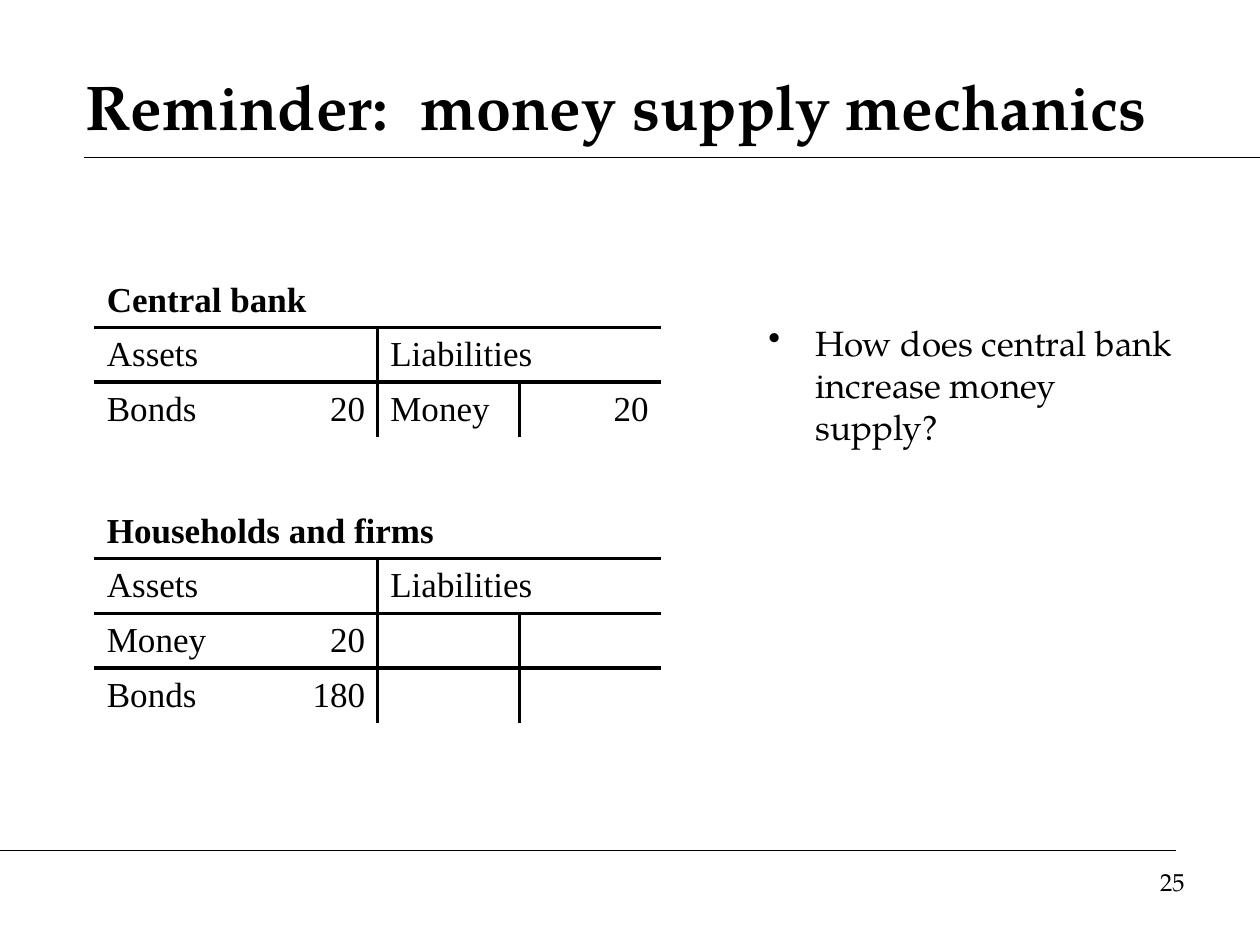
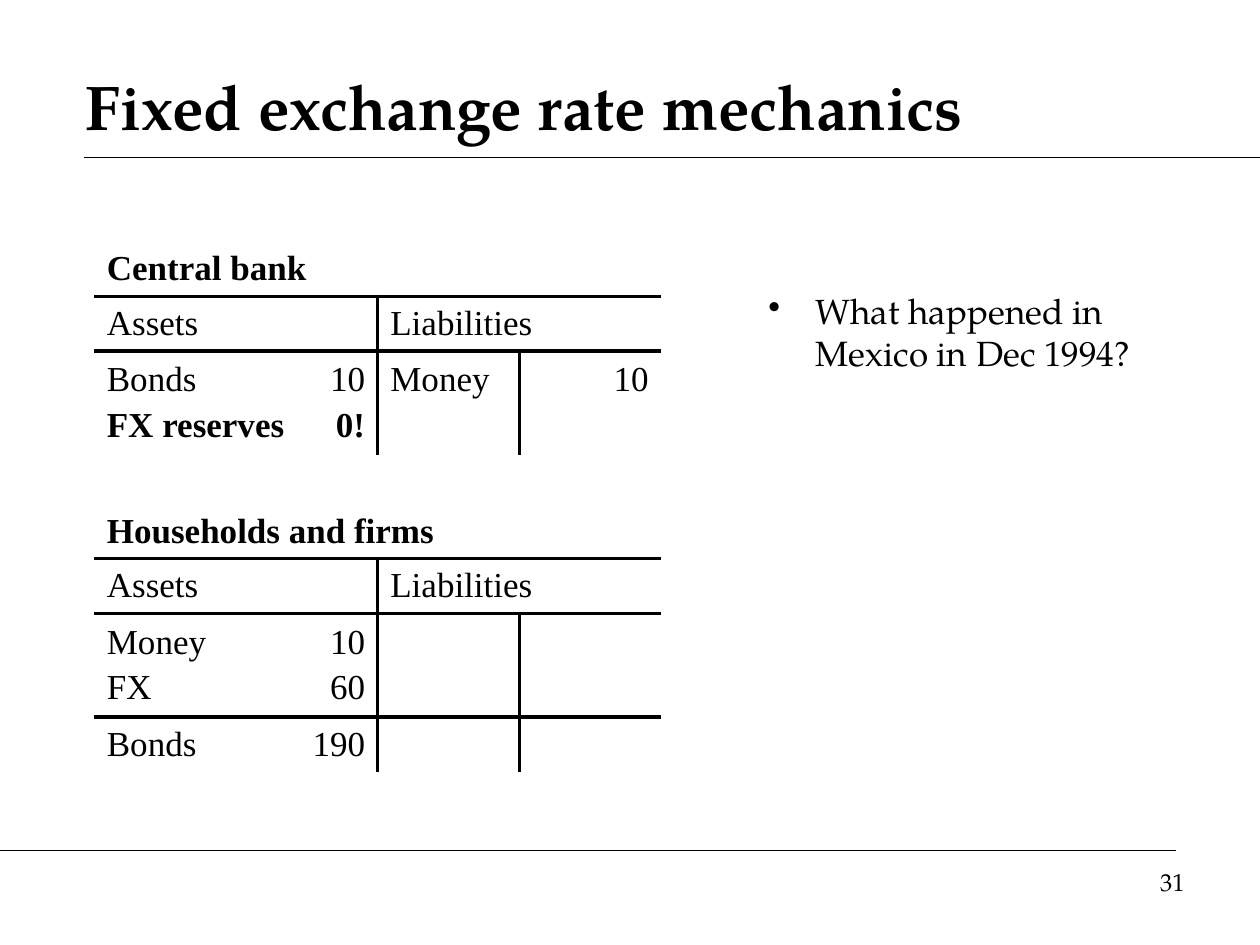
"""Two slides on money supply and exchange rate mechanics, with T-accounts."""
from lxml import etree
from pptx import Presentation, util as u
from pptx.dml.color import RGBColor
from pptx.enum import shapes, text
from pptx.oxml.ns import qn

INK = "000000"
SERIF, TIMES = "TeX Gyre Pagella", "Times New Roman"
TITLE = {"name": SERIF, "size": u.Pt(36), "bold": True}
BODY = {"name": SERIF, "size": u.Pt(20), "bold": False}
NUMBER = {"name": SERIF, "size": u.Pt(14), "bold": False}
ENTRY = {"name": TIMES, "size": u.Pt(20), "bold": False}
STRONG = {**ENTRY, "bold": True}
LEFT, RIGHT = text.PP_ALIGN.LEFT, text.PP_ALIGN.RIGHT
TOP, MIDDLE = text.MSO_ANCHOR.TOP, text.MSO_ANCHOR.MIDDLE

WIDTH, HEIGHT = 25.4, 19.05
TITLE_RULE, FOOT_RULE = 3.18, 17.15
# Start x, end x and y of the lines on every slide
RULES = [(1.7, WIDTH, TITLE_RULE), (0, 23.7, FOOT_RULE),
         (3.18, WIDTH, TITLE_RULE), (0, 17.98, FOOT_RULE)]
ACCOUNT_LEFT, ACCOUNT_WIDTH = 1.9, 11.43
LINE_ROW, EXTRA_LINE = 1.03, 0.92
NO_GRID = "{2D5ABB26-0587-4C30-8999-92F81FD0307C}"


def color(value):
    """Turn a hex string into a colour."""
    return RGBColor.from_string(value)


def write(para, words, style, align=LEFT):
    """Fill a paragraph with one styled run."""
    para.alignment = align
    span = para.add_run()
    span.text = words
    for name, value in style.items():
        setattr(span.font, name, value)
    span.font.color.rgb = color(INK)


def add_text(page, place, words, style, align=LEFT, anchor=TOP):
    """Add a wrapped text box and return its paragraph."""
    frame = page.shapes.add_textbox(*map(u.Cm, place)).text_frame
    frame.word_wrap = True
    frame.vertical_anchor = anchor
    write(frame.paragraphs[0], words, style, align)
    return frame.paragraphs[0]


def add_question(page, top, words):
    """Add the bulleted question on the right."""
    para = add_text(page, (15.24, top, 8.69, 9.73), words, BODY)
    props = para._p.get_or_add_pPr()
    props.set("marL", str(u.Cm(0.95)))
    props.set("indent", str(-u.Cm(0.95)))
    etree.SubElement(props, qn("a:buChar")).set("char", "•")


def add_rule(page, start, end, y):
    """Add a thin horizontal line without shadow."""
    rule = page.shapes.add_connector(shapes.MSO_CONNECTOR.STRAIGHT,
                                     *map(u.Cm, (start, y, end, y)))
    rule.line.color.rgb = color(INK)
    rule.line.width = u.Pt(0.75)
    etree.SubElement(rule.element.spPr, qn("a:effectLst"))


def set_borders(cell, sides):
    """Draw thick borders on the given sides, in schema order."""
    props = cell._tc.get_or_add_tcPr()
    for place, side in enumerate(s for s in "LRTB" if s in sides):
        line = etree.Element(qn("a:ln" + side), w=str(u.Pt(2.25)))
        fill = etree.SubElement(line, qn("a:solidFill"))
        etree.SubElement(fill, qn("a:srgbClr")).set("val", INK)
        props.insert(place, line)


def account_sides(row, column):
    """Tell which borders a cell of a T-account has."""
    sides = "B" if row < 2 else ""
    if row in (1, 2):
        sides += "T"
    if row > 0:
        sides += {1: "R", 2: "L"}.get(column, "")
    return sides


def fill_cell(cell, lines, style, align=LEFT, anchor=MIDDLE):
    """Write one paragraph per line; a final ! or FX reserves is strong."""
    cell.vertical_anchor = anchor
    if anchor == TOP:
        cell.margin_top = u.Cm(0.18)
    for index, words in enumerate(lines):
        frame = cell.text_frame
        para = frame.add_paragraph() if index else frame.paragraphs[0]
        if index:
            para.space_before = u.Pt(4)
        strong = words in ("FX reserves", "0!")
        write(para, words, STRONG if strong else style, align)


def add_account(page, top, holder, entries, label_width=3.77):
    """Add a T-account; entries hold four cells, with lines split by newline."""
    rows = [[cell.split("\n") if cell else [] for cell in row]
            for row in entries]
    depths = [1, 1] + [max(map(len, row)) for row in rows]
    heights = [LINE_ROW + EXTRA_LINE * (depth - 1) for depth in depths]
    half = ACCOUNT_WIDTH / 2
    widths = [label_width, half - label_width, half / 2, half / 2]
    frame = page.shapes.add_table(
        len(heights), 4, *map(u.Cm, (ACCOUNT_LEFT, top, ACCOUNT_WIDTH,
                                     sum(heights))))
    table = frame.table
    table.first_row = table.horz_banding = False
    next(frame.element.iter(qn("a:tableStyleId"))).text = NO_GRID
    for column, width in zip(table.columns, widths):
        column.width = u.Cm(width)
    for row, height in zip(table.rows, heights):
        row.height = u.Cm(height)
    for row in range(len(heights)):
        for column in range(4):
            cell = table.cell(row, column)
            cell.fill.background()
            set_borders(cell, account_sides(row, column))

    table.cell(0, 0).merge(table.cell(0, 3))
    fill_cell(table.cell(0, 0), [holder], STRONG)
    for column, heading in ((0, "Assets"), (2, "Liabilities")):
        table.cell(1, column).merge(table.cell(1, column + 1))
        fill_cell(table.cell(1, column), [heading], ENTRY)
    for row, cells in enumerate(rows, 2):
        for column, lines in enumerate(cells):
            anchor = TOP if 0 < len(lines) < depths[row] else MIDDLE
            fill_cell(table.cell(row, column), lines, ENTRY,
                      RIGHT if column % 2 else LEFT, anchor)


def add_page(deck, title, number):
    """Add a slide with its lines, title and page number."""
    page = deck.slides.add_slide(deck.slide_layouts[6])
    for rule in RULES:
        add_rule(page, *rule)
    add_text(page, (18.2, 17.36, 5.93, 1.32), number, NUMBER, RIGHT)
    add_text(page, (1.48, 1.06, 22.01, 2.12), title, TITLE, anchor=MIDDLE)
    return page


def main():
    """Build and save the deck."""
    deck = Presentation()
    deck.slide_width, deck.slide_height = u.Cm(WIDTH), u.Cm(HEIGHT)

    page = add_page(deck, "Reminder:  money supply mechanics", "25")
    add_account(page, 5.5, "Central bank", [("Bonds", "20", "Money", "20")])
    add_account(page, 10.16, "Households and firms",
                [("Money", "20", "", ""), ("Bonds", "180", "", "")])
    add_question(page, 6.35, "How does central bank increase money supply?")

    page = add_page(deck, "Fixed exchange rate mechanics", "31")
    add_account(page, 4.87, "Central bank",
                [("Bonds\nFX reserves", "10\n0!", "Money", "10")], 4.25)
    add_account(page, 10.16, "Households and firms",
                [("Money\nFX", "10\n60", "", ""), ("Bonds", "190", "", "")])
    add_question(page, 5.72, "What happened in Mexico in Dec 1994?")

    deck.save("out.pptx")


main()
